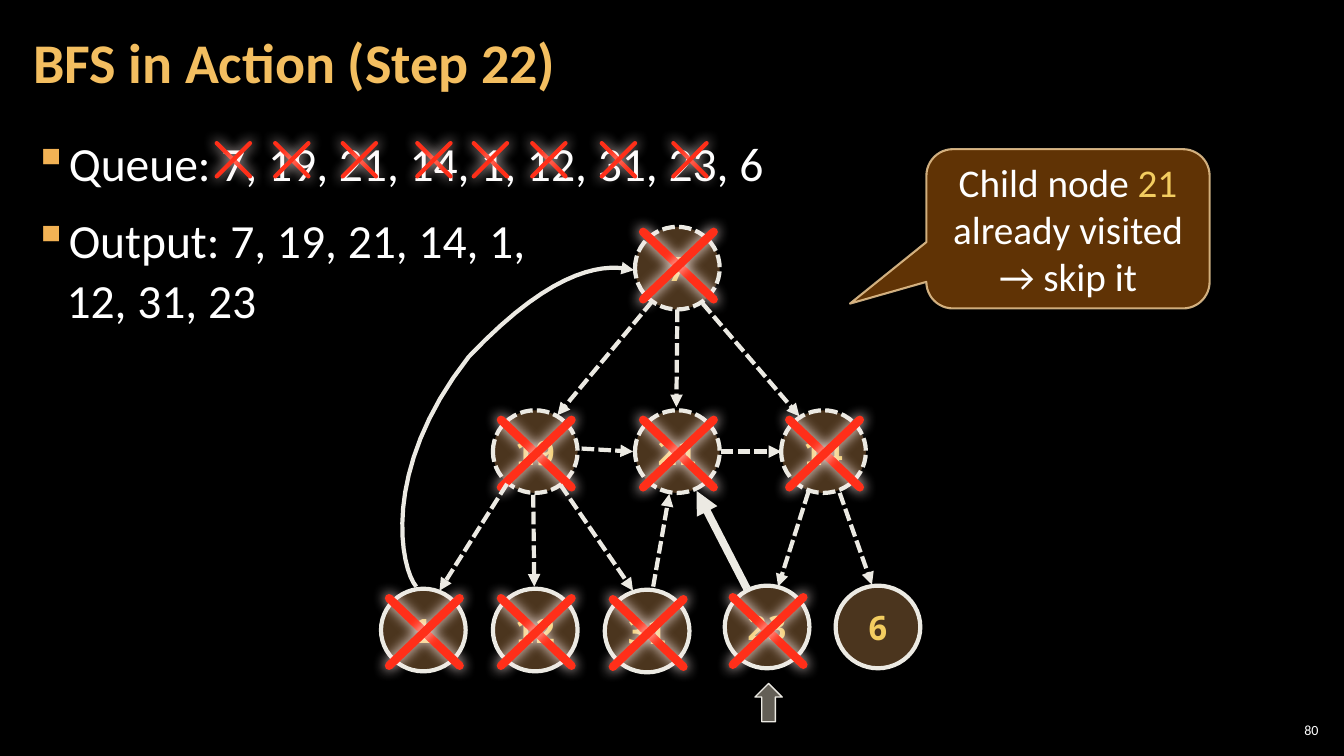
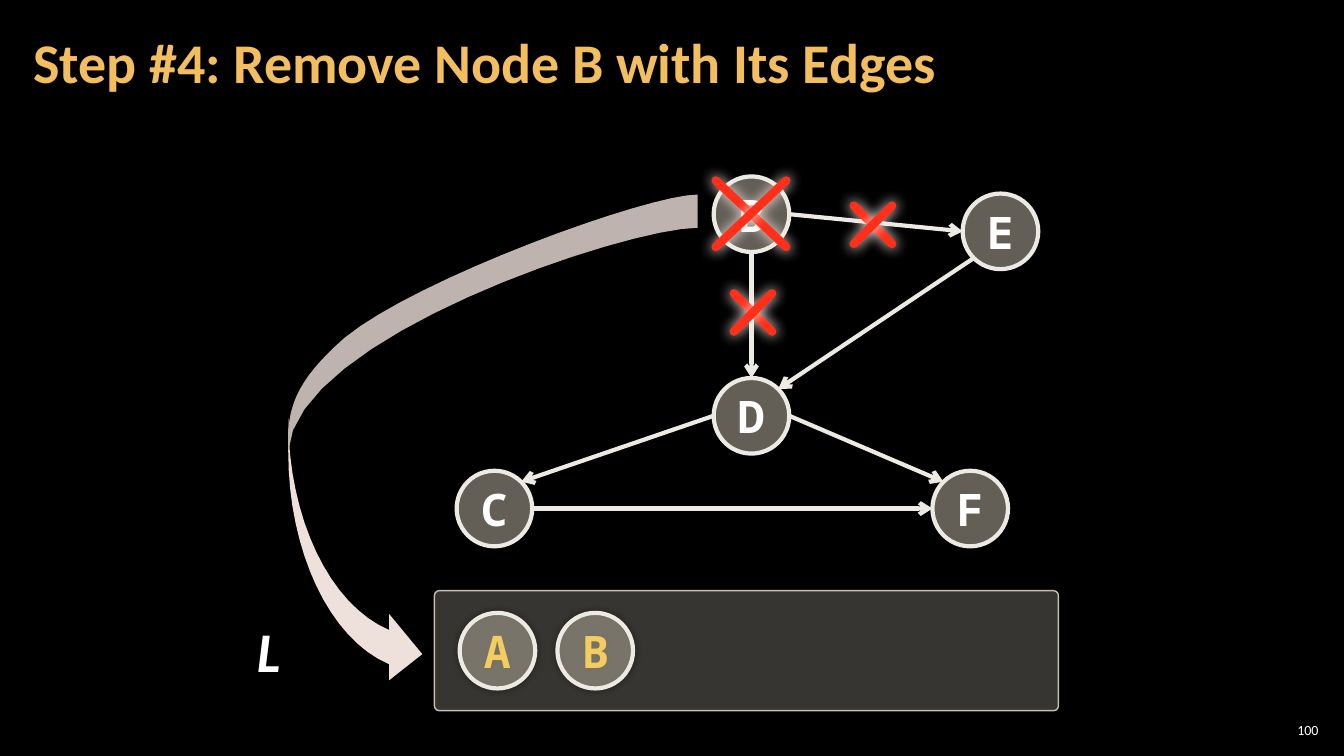
from dataclasses import dataclass
from typing import NamedTuple

from pptx import Presentation
from pptx.dml.color import RGBColor
from pptx.enum.dml import MSO_LINE
from pptx.enum.shapes import MSO_CONNECTOR, MSO_SHAPE
from pptx.enum.text import MSO_ANCHOR, MSO_AUTO_SIZE, PP_ALIGN
from pptx.oxml.ns import qn
from pptx.util import Inches, Pt
from lxml import etree

# The slide is a grid of square cells, a tenth of an inch each.
CELL = Inches(0.1)
COLUMNS, ROWS = 133.33, 75
TITLE_ONLY = 5
CURVE_STEPS = 16
STRAIGHT = MSO_CONNECTOR.STRAIGHT
DASHED = MSO_LINE.SQUARE_DOT
OVAL = MSO_SHAPE.OVAL
LEFT, CENTER, RIGHT = PP_ALIGN.LEFT, PP_ALIGN.CENTER, PP_ALIGN.RIGHT
MIDDLE, TOP = MSO_ANCHOR.MIDDLE, MSO_ANCHOR.TOP
COLORS = {
    "black": "000000", "white": "FFFFFF", "title": "F3BE60", "bullet": "F2B254",
    "gold": "F3CD60", "chalk": "ECEAE3", "red": "FF2F19", "glow": "FFEDEB",
    "brown": "6C4C2C", "stone": "C7BFAC", "tray": "D9D5C7", "callout": "663606",
    "callout_edge": "F8D49E", "ribbon": "EEE0DB", "ribbon_dark": "BFB3AF",
}


class Box(NamedTuple):
    left: float
    top: float
    width: float
    height: float


class Point(NamedTuple):
    x: float
    y: float


class Glow(NamedTuple):
    color: str
    opacity: int
    blur: float


@dataclass
class TextStyle:
    size: float
    color: str = "white"
    font: str = "Calibri"
    bold: bool = False
    italic: bool = False


@dataclass
class Node:
    label: str
    center: Point
    dashed: bool = False
    crossed: bool = True
    cross_drop: float = 0.2


@dataclass
class Edge:
    start: Point
    end: Point
    dashed: bool = True
    width: float = 3


RED_GLOW = Glow("glow", 100, 10)
SOFT_SHADOW = Glow("black", 40, 5)
NUMBER_BOX = Box(126.5, 71.4, 4.7, 2.1)
TITLE_BOX = Box(2.1, 0.4, 104.7, 12.1)
TITLE_STYLE = TextStyle(40, "title", bold=True)
NODE_TEXT = TextStyle(24, "gold", "Noto Sans Mono", bold=True)
LETTER_TEXT = TextStyle(32, "white", "Noto Sans Mono", bold=True)
LISTED_TEXT = TextStyle(32, "gold", "Noto Sans Mono", bold=True)
NODE_SIZE = Point(8.4, 8.2)
CROSS_SIZE = Point(7, 6.7)
LETTER_SIZE = 7.5

TREE_NODES = [
    Node("7", Point(67.2, 26.6), dashed=True, cross_drop=-0.25),
    Node("19", Point(53.1, 44.8), dashed=True),
    Node("21", Point(67.2, 44.8), dashed=True),
    Node("14", Point(81.7, 44.8), dashed=True),
    Node("1", Point(42, 62.5)),
    Node("12", Point(53.1, 62.5)),
    Node("31", Point(64.2, 62.6)),
    Node("23", Point(76.1, 62.2), cross_drop=0.4),
    Node("6", Point(87.1, 62.2), crossed=False),
]
TREE_EDGES = [
    Edge(Point(64.7, 29.9), Point(55.3, 41.2)),
    Edge(Point(67.2, 30.7), Point(67.1, 40.4)),
    Edge(Point(69.7, 30.1), Point(79.3, 41.3)),
    Edge(Point(57.7, 44.5), Point(62.8, 44.8)),
    Edge(Point(71.5, 44.8), Point(77.5, 44.8)),
    Edge(Point(50.3, 48), Point(43.6, 58.6)),
    Edge(Point(52.9, 49.1), Point(53, 58.2)),
    Edge(Point(55.6, 48.1), Point(62.8, 58.6)),
    Edge(Point(64.8, 58.2), Point(66.4, 49)),
    Edge(Point(80.2, 48.8), Point(77.2, 58.2)),
    Edge(Point(83.3, 48.9), Point(86.5, 58)),
    Edge(Point(74.1, 58.4), Point(69.1, 48.7), dashed=False, width=5.5),
]
QUEUE_CROSSES = [21.5, 27.3, 34, 41.4, 47, 52.8, 59.7, 66.8]
BACK_EDGE = [[(41.3, 58.2)],
             [(39.8, 56.5), (37.6, 46.7), (46.5, 35.4)],
             [(55.4, 26), (60.4, 26.2), (62.9, 26.8)]]

LETTERS = {"B": Point(74.55, 21.25), "E": Point(99.25, 22.95), "D": Point(74.55, 41.25),
           "C": Point(49.05, 50.45), "F": Point(96.25, 50.45)}
SIDES = {"top": (0, -1), "bottom": (0, 1), "left": (-1, 0), "right": (1, 0),
         "top left": (-0.71, -0.71), "top right": (0.71, -0.71),
         "bottom left": (-0.71, 0.71)}
LETTER_EDGES = [("B", "right", "E", "left"), ("B", "bottom", "D", "top"),
                ("E", "bottom left", "D", "top right"), ("D", "left", "C", "top right"),
                ("D", "right", "F", "top left"), ("C", "right", "F", "left")]
LETTER_CROSSES = [Box(71, 17.9, 7, 6.6), Box(84.7, 20.4, 3.8, 3.8), Box(72.8, 29.1, 3.8, 3.8)]
RIBBON_HEAD = [[(28.6, 41.5)], [(28.6, 51.4), (32.7, 60), (38.6, 62.5)],
               [(38.6, 60.9)], [(41.9, 64.9)], [(38.6, 67.5)], [(38.6, 65.9)],
               [(32.7, 63.4), (28.6, 54.7), (28.6, 44.8)]]
RIBBON_TAIL = [[(69.2, 22.6)], [(62.2, 22.6), (29.1, 33.5), (28.6, 44.8)],
               [(28.4, 40.6), (29.2, 37.9), (34.2, 33.5)],
               [(41.4, 27.6), (64.3, 19.3), (69.2, 19.3)]]


def cells(*lengths: float) -> list[int]:
    """Turn grid lengths into EMU."""
    return [round(length * CELL) for length in lengths]


def rgb(color: str) -> RGBColor:
    return RGBColor.from_string(COLORS[color])


def centered(center: Point, width: float, height: float) -> Box:
    return Box(center.x - width / 2, center.y - height / 2, width, height)


def add_element(parent, tag: str, **attributes):
    return etree.SubElement(parent, qn(tag), {key: str(value) for key, value in attributes.items()})


def set_opacity(fill_parent, percent: int) -> None:
    add_element(fill_parent.find(qn("a:solidFill"))[0], "a:alpha", val=percent * 1000)


def set_glow(shape, glow: Glow | None = None) -> None:
    """Replace the theme's shadow with a centred glow, or with nothing."""
    properties = shape._element.spPr
    for old in properties.findall(qn("a:effectLst")):
        properties.remove(old)
    effects = add_element(properties, "a:effectLst")
    if glow:
        shadow = add_element(effects, "a:outerShdw", blurRad=int(Pt(glow.blur)), dist=0, dir=0,
                             algn="ctr", rotWithShape=0)
        color = add_element(shadow, "a:srgbClr", val=COLORS[glow.color])
        add_element(color, "a:alpha", val=glow.opacity * 1000)


def set_line(shape, color: str, width: float, dashed: bool = False,
             arrow: str = "", cap: str = "flat") -> None:
    shape.line.color.rgb = rgb(color)
    shape.line.width = Pt(width)
    if dashed:
        shape.line.dash_style = DASHED
    outline = shape._element.spPr.find(qn("a:ln"))
    outline.set("cap", cap)
    if arrow:
        add_element(outline, "a:tailEnd", type=arrow)


def add_span(para, text: str, style: TextStyle) -> None:
    span = para.add_run()
    span.text = text
    font = span.font
    font.size, font.name = Pt(style.size), style.font
    font.bold, font.italic = style.bold, style.italic
    font.color.rgb = rgb(style.color)


def set_frame(shape, align=CENTER, anchor=MIDDLE, wrap: bool = True,
              insets: tuple[float, float] = (1, 0.5)):
    """Format the text frame and return its first paragraph."""
    frame = shape.text_frame
    frame.word_wrap, frame.auto_size = wrap, MSO_AUTO_SIZE.NONE
    frame.vertical_anchor = anchor
    side, end = cells(*insets)
    frame.margin_left = frame.margin_right = side
    frame.margin_top = frame.margin_bottom = end
    frame.paragraphs[0].alignment = align
    return frame.paragraphs[0]


def add_filled(slide, kind, box: Box, fill: str, opacity: int, edge: str, width: float,
               dashed: bool = False, glow: Glow | None = None):
    shape = slide.shapes.add_shape(kind, *cells(*box))
    shape.fill.solid()
    shape.fill.fore_color.rgb = rgb(fill)
    set_opacity(shape._element.spPr, opacity)
    set_line(shape, edge, width, dashed)
    set_glow(shape, glow)
    return shape


def add_node(slide, box: Box, label: str, style: TextStyle, fill: str, opacity: int,
             dashed: bool = False, glow: Glow | None = None) -> None:
    shape = add_filled(slide, OVAL, box, fill, opacity, "chalk", 3, dashed, glow)
    add_span(set_frame(shape, wrap=False), label, style)


def add_arrow(slide, edge: Edge, head: str) -> None:
    arrow = slide.shapes.add_connector(STRAIGHT, *cells(*edge.start, *edge.end))
    set_line(arrow, "chalk", edge.width, edge.dashed, head)
    set_glow(arrow)


def add_cross(slide, box: Box, width: float) -> None:
    left, top, right, bottom = cells(box.left, box.top, box.left + box.width, box.top + box.height)
    group = slide.shapes.add_group_shape()
    for ends in ((left, top, right, bottom), (right, top, left, bottom)):
        stroke = group.shapes.add_connector(STRAIGHT, *ends)
        set_line(stroke, "red", width, cap="rnd")
        set_glow(stroke, RED_GLOW)


def add_outline(slide, segments: list, close: bool):
    """Draw a start point followed by straight (one point) and cubic (three points) segments."""
    points = [segments[0][0]]
    for segment in segments[1:]:
        if len(segment) == 1:
            points.append(segment[0])
            continue
        corners = [points[-1], *segment]
        for step in range(1, CURVE_STEPS + 1):
            t = step / CURVE_STEPS
            weights = ((1 - t) ** 3, 3 * t * (1 - t) ** 2, 3 * t * t * (1 - t), t ** 3)
            points.append(tuple(sum(w * corner[axis] for w, corner in zip(weights, corners))
                                for axis in (0, 1)))
    start, *others = [tuple(cells(*point)) for point in points]
    builder = slide.shapes.build_freeform(*start)
    builder.add_line_segments(others, close=close)
    shape = builder.convert_to_shape()
    set_glow(shape)
    return shape


def add_titled_slide(deck, title: str, number: int):
    slide = deck.slides.add_slide(deck.slide_layouts[TITLE_ONLY])
    holder = slide.shapes.title
    holder.left, holder.top, holder.width, holder.height = cells(*TITLE_BOX)
    para = set_frame(holder, LEFT, insets=(1.2, 0.4))
    para.line_spacing = 0.9
    add_span(para, title, TITLE_STYLE)
    number_box = slide.shapes.add_textbox(*cells(*NUMBER_BOX))
    add_span(set_frame(number_box, RIGHT, insets=(0.4, 0.4)), str(number), TextStyle(10))
    return slide


def add_bullets(slide, box: Box, items: list[list[str]]) -> None:
    """Each item is a list of lines."""
    shape = slide.shapes.add_textbox(*cells(*box))
    first = set_frame(shape, LEFT, TOP, insets=(1.2, 0.4))
    for index, lines in enumerate(items):
        para = shape.text_frame.add_paragraph() if index else first
        para.line_spacing, para.space_after = 1.05, Pt(6)
        para.space_before = Pt(6 if index else 0)
        properties = para._p.get_or_add_pPr()
        indent = cells(3.3)[0]
        properties.set("marL", str(indent))
        properties.set("indent", str(-indent))
        add_element(add_element(properties, "a:buClr"), "a:srgbClr", val=COLORS["bullet"])
        add_element(properties, "a:buChar", char="▪")
        for line_index, line in enumerate(lines):
            if line_index:
                para.add_line_break()
            add_span(para, line, TextStyle(34))


def build_search_slide(deck) -> None:
    slide = add_titled_slide(deck, "BFS in Action (Step 22)", 80)
    add_bullets(slide, Box(2.1, 12.6, 129.1, 60.9), [
        ["Queue: 7, 19, 21, 14, 1, 12, 31, 23, 6"],
        ["Output: 7, 19, 21, 14, 1,", "12, 31, 23"]])
    for left in QUEUE_CROSSES:
        add_cross(slide, Box(left, 14.2, 3.3, 3.3), 3)
    add_filled(slide, MSO_SHAPE.UP_ARROW, Box(74.9, 67.8, 2.7, 3.8), "stone", 50, "chalk", 1)
    for node in TREE_NODES:
        add_node(slide, centered(node.center, *NODE_SIZE), node.label, NODE_TEXT, "brown", 70,
                 node.dashed)
        if node.crossed:
            middle = Point(node.center.x + 0.1, node.center.y + node.cross_drop)
            add_cross(slide, centered(middle, *CROSS_SIZE), 6)
    for edge in TREE_EDGES:
        add_arrow(slide, edge, "triangle")
    back_edge = add_outline(slide, BACK_EDGE, close=False)
    back_edge.fill.background()
    set_line(back_edge, "chalk", 3, arrow="triangle")
    callout = add_filled(slide, MSO_SHAPE.ROUNDED_RECTANGULAR_CALLOUT, Box(91.9, 14.8, 28.1, 15.8),
                         "callout", 95, "callout_edge", 1.5)
    set_opacity(callout._element.spPr.find(qn("a:ln")), 80)
    callout.adjustments[0], callout.adjustments[1] = -0.77, 0.47
    para = set_frame(callout)
    for text, color in (("Child node ", "white"), ("21 ", "gold"),
                        ("already visited → skip it", "white")):
        add_span(para, text, TextStyle(28, color))


def build_removal_slide(deck) -> None:
    slide = add_titled_slide(deck, "Step #4: Remove Node B with Its Edges", 100)
    tray = add_filled(slide, MSO_SHAPE.ROUNDED_RECTANGLE, Box(43.1, 58.6, 61.9, 11.9),
                      "tray", 25, "stone", 1)
    tray.adjustments[0] = 0.04
    for letter, center in LETTERS.items():
        add_node(slide, centered(center, LETTER_SIZE, LETTER_SIZE), letter, LETTER_TEXT,
                 "stone", 50)
    for source, source_side, target, target_side in LETTER_EDGES:
        start, end = (Point(*(middle + LETTER_SIZE / 2 * shift
                              for middle, shift in zip(LETTERS[letter], SIDES[side])))
                      for letter, side in ((source, source_side), (target, target_side)))
        add_arrow(slide, Edge(start, end, dashed=False), "arrow")
    for box in LETTER_CROSSES:
        add_cross(slide, box, 6)
    for index, letter in enumerate("AB"):
        add_node(slide, Box(45.6 + 9.7 * index, 60.8, LETTER_SIZE, LETTER_SIZE), letter,
                 LISTED_TEXT, "stone", 50, glow=SOFT_SHADOW)
    list_name = slide.shapes.add_textbox(*cells(22.5, 60.8, 8.3, 7.4))
    add_span(set_frame(list_name), "L", TextStyle(40, bold=True, italic=True))
    for segments, color in ((RIBBON_HEAD, "ribbon"), (RIBBON_TAIL, "ribbon_dark")):
        part = add_outline(slide, segments, close=True)
        part.fill.solid()
        part.fill.fore_color.rgb = rgb(color)
        part.line.fill.background()


def main() -> None:
    deck = Presentation()
    deck.slide_width, deck.slide_height = cells(COLUMNS, ROWS)
    backdrop = deck.slide_master.background.fill
    backdrop.solid()
    backdrop.fore_color.rgb = rgb("black")
    build_search_slide(deck)
    build_removal_slide(deck)
    deck.save("out.pptx")


if __name__ == "__main__":
    main()
